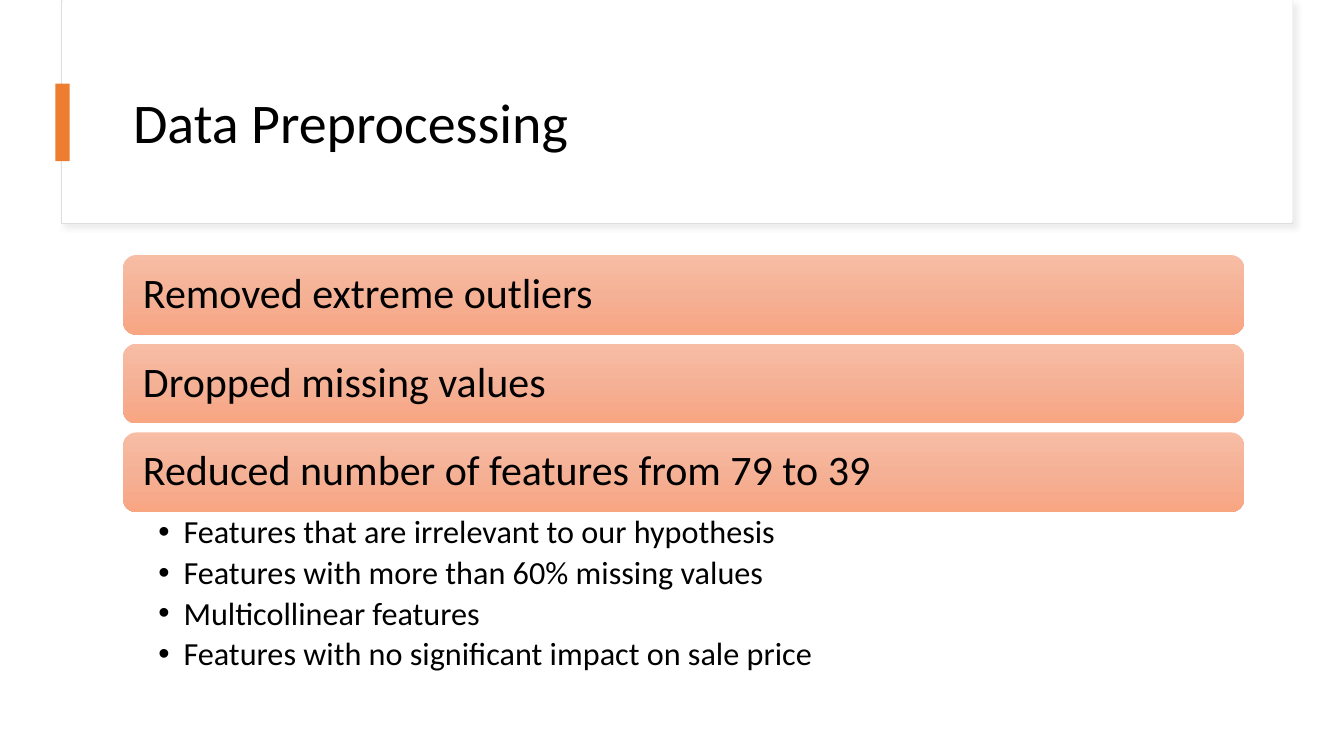
from lxml import etree
from pptx import Presentation
from pptx import util as u
from pptx.dml.color import RGBColor
from pptx.enum import shapes, text
from pptx.oxml import parse_xml
from pptx.oxml.ns import nsdecls, qn

PX = 9144
FONT = "Calibri"
STEPS = [
    "Removed extreme outliers",
    "Dropped missing values",
    "Reduced number of features from 79 to 39",
]
REDUCTIONS = [
    "Features that are irrelevant to our hypothesis",
    "Features with more than 60% missing values",
    "Multicollinear features",
    "Features with no significant impact on sale price",
]
GRADIENT = [(0, "F7BDA5"), (50, "F5B196"), (100, "F8A582")]


def px(*lengths):
    return [u.Emu(n * PX) for n in lengths]


def color(value):
    return RGBColor.from_string(value)


def write(tf, lines, size, anchor="MIDDLE", insets=(10, 5, 10, 5), after=0, bullet=False):
    tf.word_wrap = True
    tf.auto_size = text.MSO_AUTO_SIZE.NONE
    tf.vertical_anchor = text.MSO_ANCHOR[anchor]
    tf.margin_left, tf.margin_top, tf.margin_right, tf.margin_bottom = px(*insets)
    for i, line in enumerate(lines):
        p = tf.paragraphs[0] if i == 0 else tf.add_paragraph()
        p.alignment = text.PP_ALIGN.LEFT
        p.line_spacing = 0.9
        p.space_after = u.Pt(after)
        if bullet:
            pPr = p._p.get_or_add_pPr()
            pPr.set("marL", str(25 * PX))
            pPr.set("indent", str(-25 * PX))
            etree.SubElement(pPr, qn("a:buFont")).set("typeface", "Arial")
            etree.SubElement(pPr, qn("a:buChar")).set("char", "•")
        r = p.add_run()
        r.text = line
        r.font.name = FONT
        r.font.size = u.Pt(size)
        r.font.color.rgb = color("000000")


def add_box(s, box, fill=None, line=None, kind="RECTANGLE"):
    sp = s.shapes.add_shape(shapes.MSO_SHAPE[kind], *px(*box))
    if fill:
        sp.fill.solid()
        sp.fill.fore_color.rgb = color(fill)
    if line:
        sp.line.color.rgb = color(line)
        sp.line.width = u.Pt(0.75)
    else:
        sp.line.fill.background()
    sp.shadow.inherit = False
    return sp


def add_shadow(sp):
    effects = sp.element.spPr.find(qn("a:effectLst"))
    effects.append(parse_xml(
        f'<a:outerShdw {nsdecls("a")} blurRad="50800" dist="38100" dir="2700000" '
        'algn="tl" rotWithShape="0"><a:srgbClr val="D9D9D9">'
        '<a:alpha val="50000"/></a:srgbClr></a:outerShdw>'))


def add_gradient(sp, stops):
    gs = "".join(f'<a:gs pos="{pos * 1000}"><a:srgbClr val="{value}"/></a:gs>'
                 for pos, value in stops)
    geometry = sp.element.spPr.find(qn("a:prstGeom"))
    geometry.addnext(parse_xml(
        f'<a:gradFill {nsdecls("a")} rotWithShape="1"><a:gsLst>{gs}</a:gsLst>'
        '<a:lin ang="5400000" scaled="0"/></a:gradFill>'))


def header(s, box, heading):
    x, y, w, h = box
    add_shadow(add_box(s, (x - 1, y + 1, w + 1, h + 1), "FFFFFF", "DEDEDE"))
    add_box(s, box, "FFFFFF")
    title = s.shapes.title
    title.left, title.top, title.width, title.height = px(x + 60, y + 60, w - 108, 129)
    write(title.text_frame, [heading], 40)
    s.shapes._spTree.append(title.element)
    add_box(s, (x - 7, y + 83, 14, 77), "ED7D31")


def step_list(s, box, steps, details):
    x, y, w, h = box
    bar, pitch = 79, 88
    for i, step in enumerate(steps):
        sp = add_box(s, (x, y + i * pitch, w, bar), kind="ROUNDED_RECTANGLE")
        add_gradient(sp, GRADIENT)
        write(sp.text_frame, [step], 30, insets=(16, 12, 16, 12))
    used = (len(steps) - 1) * pitch + bar
    tb = s.shapes.add_textbox(*px(x, y + used, w, h - used))
    write(tb.text_frame, details, 23, "TOP", (35, 4, 23, 4), after=4.2, bullet=True)


def main():
    prs = Presentation()
    prs.slide_width, prs.slide_height = px(1333, 750)
    s = prs.slides.add_slide(prs.slide_layouts[5])
    header(s, (62, 0, 1220, 220), "Data Preprocessing")
    step_list(s, (122, 253, 1112, 428), STEPS, REDUCTIONS)
    prs.save("out.pptx")


if __name__ == "__main__":
    main()
